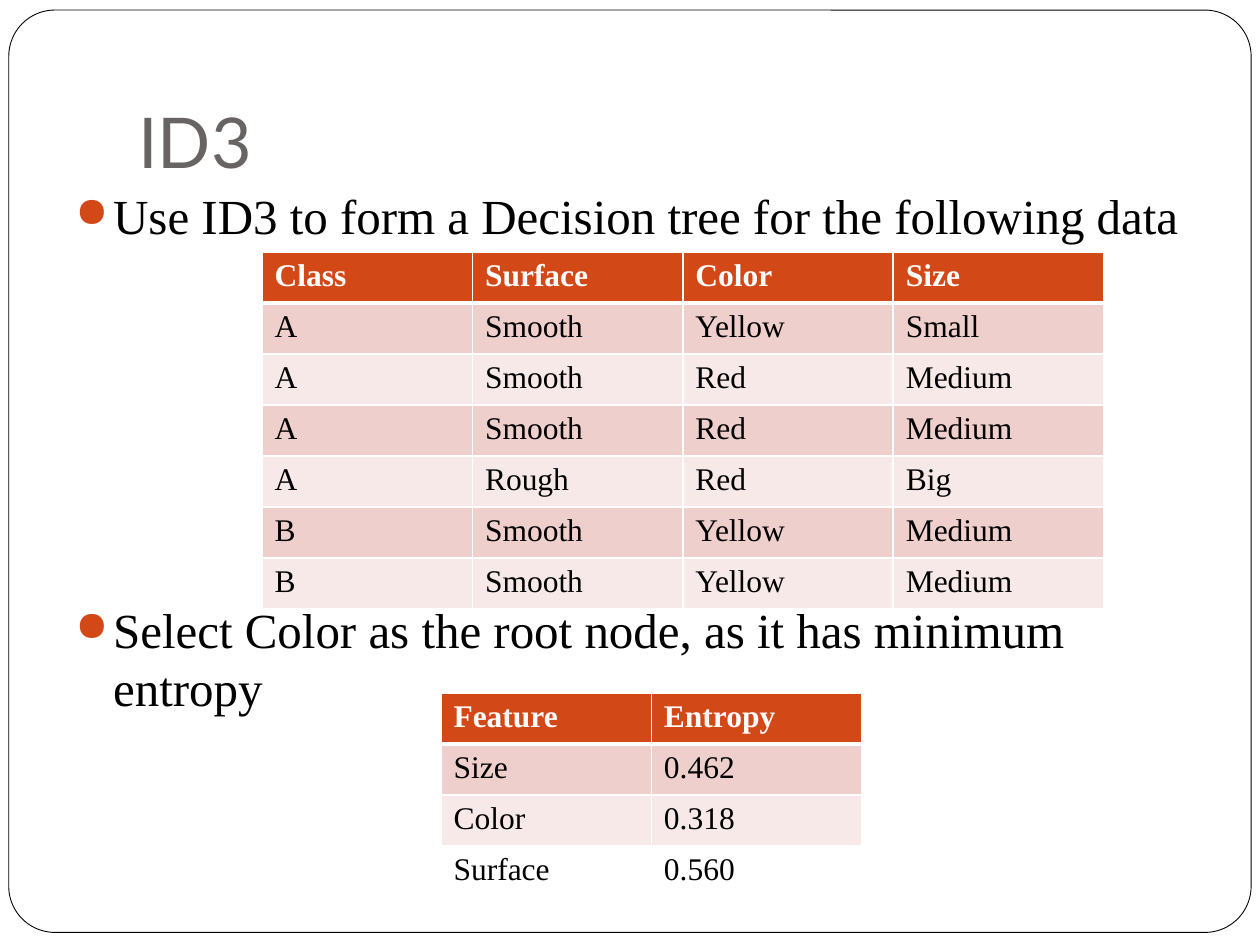
from lxml import etree
from pptx import Presentation
from pptx.dml.color import RGBColor
from pptx.enum.shapes import MSO_SHAPE
from pptx.enum.text import MSO_ANCHOR
from pptx.oxml.ns import qn
from pptx.util import Inches, Pt

ROUNDED = MSO_SHAPE.ROUNDED_RECTANGLE
BOTTOM = MSO_ANCHOR.BOTTOM
SERIF = "Times New Roman"
ACCENT, WHITE, BLACK = "D34817", "FFFFFF", "000000"
BANDS = ["EFCFCC", "F7E9E8"]


def style(run, size, font, color, bold=False):
    run.font.size = Pt(size)
    run.font.name = font
    run.font.bold = bold
    run.font.color.rgb = RGBColor.from_string(color)


def add_line(parent, index, tag, width, color):
    line = etree.Element(qn(tag), w=str(Pt(width)))
    fill = etree.SubElement(line, qn("a:solidFill"))
    etree.SubElement(fill, qn("a:srgbClr"), val=color)
    parent.insert(index, line)


prs = Presentation()
prs.slide_width, prs.slide_height = Inches(10), Inches(7.5)
s = prs.slides.add_slide(prs.slide_layouts[6])

# Rounded page frame
frame = s.shapes.add_shape(ROUNDED, Inches(0.07), Inches(0.08), Inches(9.86), Inches(7.32))
frame.adjustments[0] = 0.05
frame.shadow.inherit = False
frame.fill.solid()
frame.fill.fore_color.rgb = RGBColor.from_string(WHITE)
frame.line.color.rgb = RGBColor.from_string(BLACK)
frame.line.width = Pt(0.5)

# Title
title = s.shapes.add_textbox(Inches(1), Inches(0.3), Inches(8.5), Inches(1.25))
tf = title.text_frame
tf.word_wrap = True
tf.vertical_anchor = BOTTOM
tf.margin_bottom = Inches(0.1)
tf.text = "ID3"
style(tf.paragraphs[0].runs[0], 40, "Lato", "696464")

# Bullets, with room for the data table between them
bullets = [
    ("Use ID3 to form a Decision tree for the following data", 5.8),
    ("Select Color as the root node, as it has minimum entropy", 203),
]
body = s.shapes.add_textbox(Inches(0.5), Inches(1.42), Inches(9), Inches(5.83))
tf = body.text_frame
tf.word_wrap = True
for i, (text, space) in enumerate(bullets):
    p = tf.paragraphs[0] if i == 0 else tf.add_paragraph()
    p.text = text
    p.space_before = Pt(space)
    style(p.runs[0], 28, SERIF, BLACK)
    pPr = p._p.get_or_add_pPr()
    pPr.set("marL", str(Inches(0.3)))
    pPr.set("indent", str(-Inches(0.3)))
    color = etree.SubElement(pPr, qn("a:buClr"))
    etree.SubElement(color, qn("a:srgbClr"), val=ACCENT)
    etree.SubElement(pPr, qn("a:buSzPct"), val="85000")
    etree.SubElement(pPr, qn("a:buChar"), char="●")

# Tables: left, top, rows, number of rows with a fill
samples = [
    ["Class", "Surface", "Color", "Size"],
    ["A", "Smooth", "Yellow", "Small"],
    ["A", "Smooth", "Red", "Medium"],
    ["A", "Smooth", "Red", "Medium"],
    ["A", "Rough", "Red", "Big"],
    ["B", "Smooth", "Yellow", "Medium"],
    ["B", "Smooth", "Yellow", "Medium"],
]
entropies = [
    ["Feature", "Entropy"],
    ["Size", "0.462"],
    ["Color", "0.318"],
    ["Surface", "0.560"],
]
col_width, row_height = Inches(1.67), Inches(0.405)
for left, top, rows, filled in [(2.08, 2, samples, 7), (3.5, 5.5, entropies, 3)]:
    n_rows, n_cols = len(rows), len(rows[0])
    table = s.shapes.add_table(n_rows, n_cols, Inches(left), Inches(top),
                               col_width * n_cols, row_height * n_rows).table
    for r, values in enumerate(rows):
        for c, value in enumerate(values):
            cell = table.cell(r, c)
            cell.text = value
            header = r == 0
            style(cell.text_frame.paragraphs[0].runs[0], 18, SERIF,
                  WHITE if header else BLACK, header)
            if r < filled:
                cell.fill.solid()
                fill = ACCENT if header else BANDS[(r - 1) % 2]
                cell.fill.fore_color.rgb = RGBColor.from_string(fill)
            else:
                cell.fill.background()
            tcPr = cell._tc.get_or_add_tcPr()
            widths = {"a:lnL": 1, "a:lnR": 1, "a:lnT": 3 if r == 1 else 1,
                      "a:lnB": 3 if header else 1}
            for i, (tag, width) in enumerate(widths.items()):
                add_line(tcPr, i, tag, width, WHITE)

prs.save("out.pptx")
